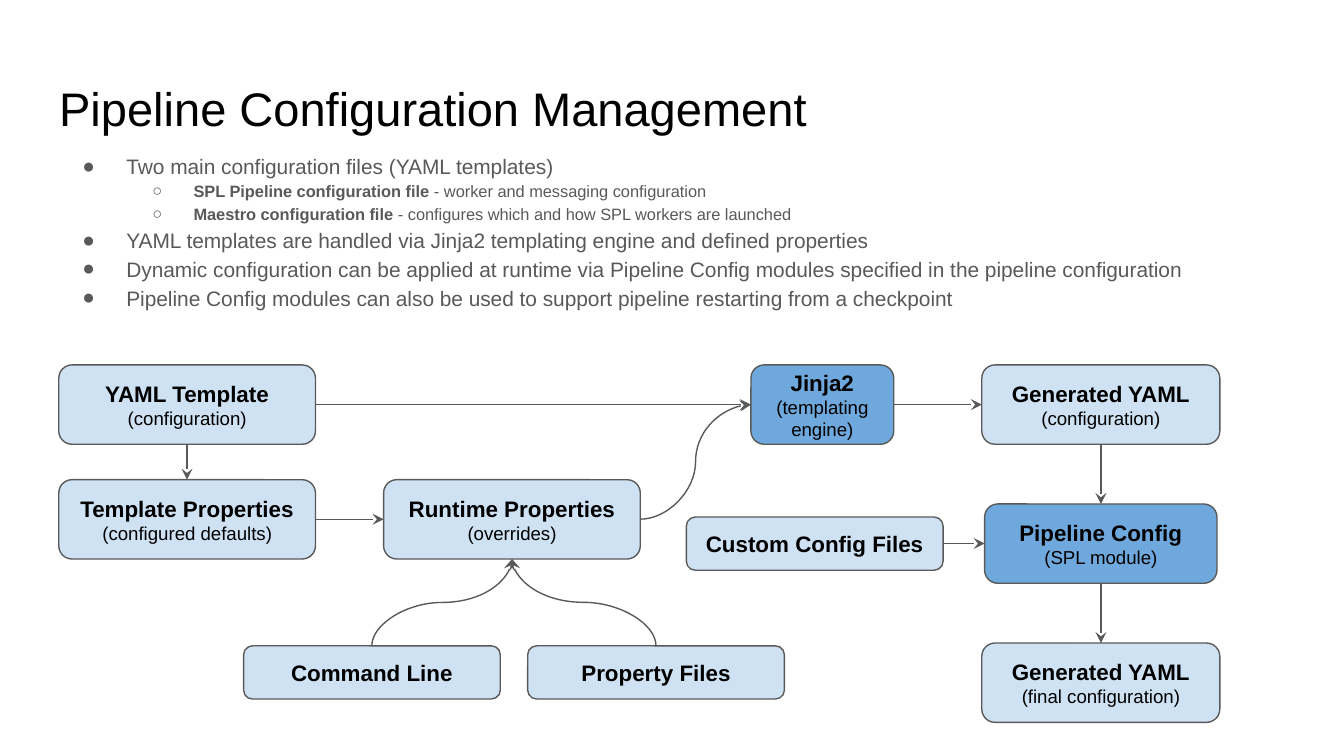
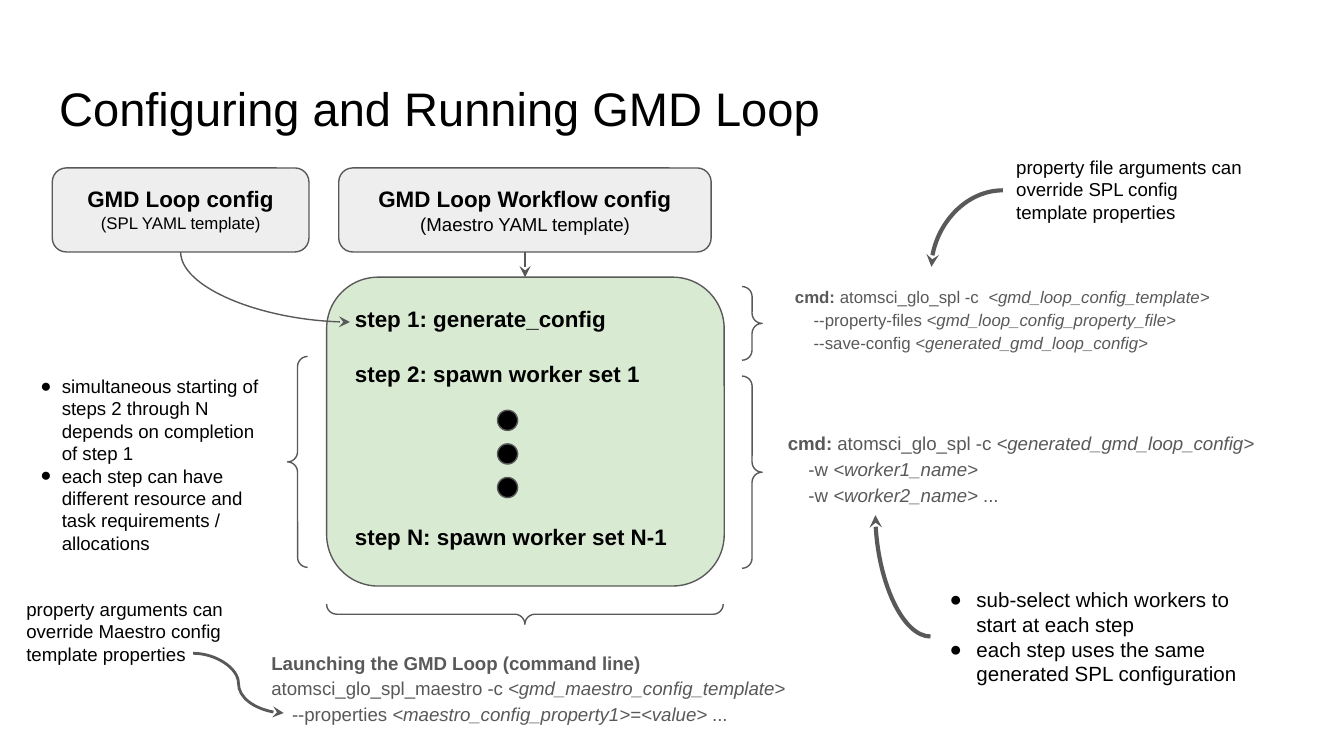
"""Build two slides on pipeline configuration and running the GMD loop."""
from dataclasses import dataclass

from lxml import etree
from pptx import Presentation
from pptx.dml.color import RGBColor
from pptx.enum.shapes import MSO_CONNECTOR, MSO_SHAPE
from pptx.enum.text import MSO_ANCHOR, MSO_AUTO_SIZE, PP_ALIGN
from pptx.oxml.ns import qn
from pptx.util import Pt

ROUND, OVAL = MSO_SHAPE.ROUNDED_RECTANGLE, MSO_SHAPE.OVAL
OPEN, CLOSE = MSO_SHAPE.LEFT_BRACE, MSO_SHAPE.RIGHT_BRACE
LINE, CURVE = MSO_CONNECTOR.STRAIGHT, MSO_CONNECTOR.CURVE
TOP, MID = MSO_ANCHOR.TOP, MSO_ANCHOR.MIDDLE
LEFT, MIDST = PP_ALIGN.LEFT, PP_ALIGN.CENTER


@dataclass(frozen=True)
class Theme:
    font: str = "Arial"
    black: RGBColor = RGBColor(0x00, 0x00, 0x00)
    dark: RGBColor = RGBColor(0x59, 0x59, 0x59)
    pale: RGBColor = RGBColor(0xCF, 0xE2, 0xF3)
    blue: RGBColor = RGBColor(0x6F, 0xA8, 0xDC)
    gray: RGBColor = RGBColor(0xEE, 0xEE, 0xEE)
    green: RGBColor = RGBColor(0xD9, 0xEA, 0xD3)
    title: float = 25.2
    list: float = 11.2
    sub: float = 8.8
    head: float = 12
    big: float = 11
    note: float = 10
    small: float = 9
    pad: float = 7.2
    thin: float = 0.75
    thick: float = 2.25


T = Theme()


def write(shape, paras, color=T.black, align=LEFT, anchor=TOP, space=1.0):
    frame = shape.text_frame
    frame.word_wrap = True
    frame.auto_size = MSO_AUTO_SIZE.NONE
    frame.vertical_anchor = anchor
    frame.margin_left = frame.margin_right = Pt(T.pad)
    frame.margin_top = frame.margin_bottom = Pt(T.pad)
    for n, (size, runs, *mark) in enumerate(paras):
        para = frame.paragraphs[0] if n == 0 else frame.add_paragraph()
        if mark:
            char, left, hang, level = mark
            para.level = level
            props = para._p.get_or_add_pPr()
            props.set("marL", str(Pt(left)))
            props.set("indent", str(-Pt(hang)))
            tint = etree.SubElement(props, qn("a:buClr"))
            etree.SubElement(tint, qn("a:srgbClr"), val=str(color))
            etree.SubElement(props, qn("a:buFont"), typeface=T.font)
            etree.SubElement(props, qn("a:buChar"), char=char)
        para.alignment = align
        para.line_spacing = space
        para.space_before = Pt(0)
        for text, style in runs:
            if text == "\n":
                para.add_line_break()
                etree.SubElement(para._p[-1], qn("a:rPr"), sz=str(int(size * 100)))
                continue
            run = para.add_run()
            run.text = text
            run.font.name = T.font
            run.font.size = Pt(size)
            run.font.color.rgb = color
            run.font.bold = "b" in style
            run.font.italic = "i" in style


def link(page, kind, x1, y1, x2, y2, width=T.thin, down=False, arc=False):
    turn = 0
    if down:
        turn = 90 if y2 > y1 else 270
        mid_x, mid_y = (x1 + x2) / 2, (y1 + y2) / 2
        half = abs(y2 - y1) / 2
        side = (x2 - x1) / 2 if y2 > y1 else (x1 - x2) / 2
        x1, y1, x2, y2 = mid_x - half, mid_y + side, mid_x + half, mid_y - side
    wire = page.shapes.add_connector(kind, Pt(x1), Pt(y1), Pt(x2), Pt(y2))
    wire.line.color.rgb = T.dark
    wire.line.width = Pt(width)
    props = wire._element.spPr
    if turn:
        props.find(qn("a:xfrm")).set("rot", str(turn * 60000))
    if arc:
        props.find(qn("a:prstGeom")).set("prst", "curvedConnector2")
    etree.SubElement(props.find(qn("a:ln")), qn("a:tailEnd"), type="stealth")
    etree.SubElement(props, qn("a:effectLst"))


deck = Presentation()
deck.slide_width, deck.slide_height = Pt(720), Pt(405)

pages = []
for index, name in ((1, "Pipeline Configuration Management"),
                    (5, "Configuring and Running GMD Loop")):
    page = deck.slides.add_slide(deck.slide_layouts[index])
    title = page.shapes.title
    title.left, title.top, title.width, title.height = Pt(24.5), Pt(35), Pt(671), Pt(45.5)
    write(title, [(T.title, [(name, "")])], anchor=MID)
    pages.append(page)
config, loop = pages

main = ("●", 36, 23.6, 0)
minor = ("○", 72, 22, 1)
body = config.placeholders[1]
body.left, body.top, body.width, body.height = Pt(24.5), Pt(73), Pt(671), Pt(105)
write(body, [
    (T.list, [("Two main configuration files (YAML templates)", "")], *main),
    (T.sub, [("SPL Pipeline configuration file", "b"),
             (" - worker and messaging configuration", "")], *minor),
    (T.sub, [("Maestro configuration file", "b"),
             (" - configures which and how SPL workers are launched", "")], *minor),
    (T.list, [("YAML templates are handled via Jinja2 templating engine and defined properties", "")], *main),
    (T.list, [("Dynamic configuration can be applied at runtime via Pipeline Config modules "
               "specified in the pipeline configuration", "")], *main),
    (T.list, [("Pipeline Config modules can also be used to support pipeline restarting "
               "from a checkpoint", "")], *main),
], T.dark, space=1.15)

tall, low, wide = 42.5, 28.5, 137.5
boxes = [
    (config, 31.5, 195.5, wide, tall, T.pale, MID, "YAML Template", "(configuration)", T.note),
    (config, 31.5, 257, wide, tall, T.pale, MID, "Template Properties", "(configured defaults)", T.note),
    (config, 205.5, 257, wide, tall, T.pale, MID, "Runtime Properties", "(overrides)", T.note),
    (config, 402.3, 195.5, 76.5, tall, T.blue, MID, "Jinja2", "(templating engine)", T.note),
    (config, 526, 195.5, 127.5, tall, T.pale, MID, "Generated YAML", "(configuration)", T.note),
    (config, 527.5, 270, 124.5, tall, T.blue, MID, "Pipeline Config", "(SPL module)", T.note),
    (config, 526, 344.5, 127.5, tall, T.pale, MID, "Generated YAML", "(final configuration)", T.note),
    (config, 130.5, 346, wide, low, T.pale, MID, "Command Line", "", T.note),
    (config, 282.7, 346, wide, low, T.pale, MID, "Property Files", "", T.note),
    (config, 367.7, 277, wide, low, T.pale, MID, "Custom Config Files", "", T.note),
    (loop, 28, 90, wide, 45, T.gray, TOP, "GMD Loop config", "(SPL YAML template)", T.small),
    (loop, 181.5, 90, 199.5, 45, T.gray, TOP, "GMD Loop Workflow config", "(Maestro YAML template)", T.note),
]
forms = []
for page, x, y, w, h, fill, anchor, head, sub, size in boxes:
    paras = [(T.head, [(head, "b")])]
    if sub:
        paras.append((size, [(sub, "")]))
    forms.append((page, ROUND, x, y, w, h, fill, 0, paras, MIDST, anchor))

steps = [(T.head, [(text, "b")]) for text in (
    "step 1: generate_config", "step 2: spawn worker set 1", "step N: spawn worker set N-1")]
forms.append((loop, ROUND, 175, 148.5, 213, 165.5, T.green, 0, steps, LEFT, TOP))
for n in range(3):
    forms.append((loop, OVAL, 266.5, 219.8 + 18 * n, 10.8, 10.8, T.black, 0, [], LEFT, TOP))
for kind, x, y, h, turn in (
        (CLOSE, 397.5, 153.5, 39.5, 0), (CLOSE, 397.5, 201.5, 103, 0),
        (OPEN, 154, 191, 113, 0), (CLOSE, 275.8, 222.8, 212.5, 90)):
    forms.append((loop, kind, x, y, 10.8, h, None, turn, [], LEFT, TOP))

for page, kind, x, y, w, h, fill, turn, paras, align, anchor in forms:
    form = page.shapes.add_shape(kind, Pt(x), Pt(y), Pt(w), Pt(h))
    form.shadow.inherit = False
    form.rotation = turn
    form.line.color.rgb = T.dark
    form.line.width = Pt(T.thin)
    if fill is None:
        form.fill.background()
        form.adjustments[0] = 0.5
    else:
        form.fill.solid()
        form.fill.fore_color.rgb = fill
    if paras:
        write(form, paras, align=align, anchor=anchor)
    if paras is steps:
        form.text_frame.paragraphs[1].space_before = Pt(15)
        form.text_frame.paragraphs[2].space_before = Pt(72.5)

for x1, y1, x2, y2 in (
        (169, 216.8, 402.3, 216.8), (478.8, 216.8, 526, 216.8),
        (100.2, 238, 100.2, 257), (169, 278.2, 205.5, 278.2),
        (589.8, 238, 589.8, 270), (589.8, 312.5, 589.8, 344.5),
        (505.2, 291.2, 527.5, 291.2)):
    link(config, LINE, x1, y1, x2, y2)
link(config, CURVE, 343, 278.2, 402.3, 216.8)
for x in (199.2, 351.4):
    link(config, CURVE, x, 346, 274.3, 299.5, down=True)

link(loop, LINE, 281.3, 135, 281.3, 148.5)
link(loop, CURVE, 96.8, 135, 187.5, 172.5, down=True, arc=True)
link(loop, CURVE, 498.5, 341, 469, 276, T.thick, arc=True)
link(loop, CURVE, 537.3, 102, 499, 143, T.thick, arc=True)
link(loop, CURVE, 103.5, 350, 152, 382, 1.5)

dot = ("●", 11.5, 11.5, 0)
spot = ("●", 18, 14.4, 0)
notes = [
    (14.5, 193.5, 139.5, 112, T.black, 1.0, [
        (T.note, [("simultaneous starting of steps 2 through N depends on completion of step 1", "")], *dot),
        (T.note, [("each step can have different resource and task requirements / allocations", "")], *dot)]),
    (498, 307.5, 181.5, 67.5, T.black, 1.0, [
        (T.big, [("sub-select which workers to start at each step", "")], *spot),
        (T.big, [("each step uses the same generated SPL configuration", "")], *spot)]),
    (537.3, 76.3, 139.5, 51, T.black, 1.0, [
        (T.note, [("property file arguments can override SPL config template properties", "")])]),
    (7, 313, 139.5, 51, T.black, 1.0, [
        (T.note, [("property arguments can override Maestro config template properties", "")])]),
    (418.8, 144.8, 247.5, 50.5, T.dark, 1.15, [
        (T.small, [("cmd:", "b"), (" atomsci_glo_spl -c  ", ""),
                   ("<gmd_loop_config_template>", "i"), ("\n", ""),
                   ("    --property-files ", ""),
                   ("<gmd_loop_config_property_file>", "i"), ("\n", ""),
                   ("    --save-config ", ""), ("<generated_gmd_loop_config>", "i")])]),
    (415, 222.5, 271.5, 54.5, T.dark, 1.15, [
        (T.note, [("cmd:", "b"), (" atomsci_glo_spl -c ", ""),
                  ("<generated_gmd_loop_config>", "i"), ("\n", ""),
                  ("    -w ", ""), ("<worker1_name>", "i"), ("\n", ""),
                  ("    -w ", ""), ("<worker2_name>", "i"), (" ...", "")])]),
    (138.3, 340, 303, 54.5, T.dark, 1.15, [
        (T.note, [("Launching the GMD Loop (command line)", "b"), ("\n", ""),
                  ("atomsci_glo_spl_maestro -c ", ""),
                  ("<gmd_maestro_config_template>", "i"), ("\n", ""),
                  ("    --properties ", ""),
                  ("<maestro_config_property1>=<value>", "i"), (" ...", "")])]),
]
for x, y, w, h, color, space, paras in notes:
    note = loop.shapes.add_textbox(Pt(x), Pt(y), Pt(w), Pt(h))
    write(note, paras, color, space=space)

deck.save("out.pptx")
